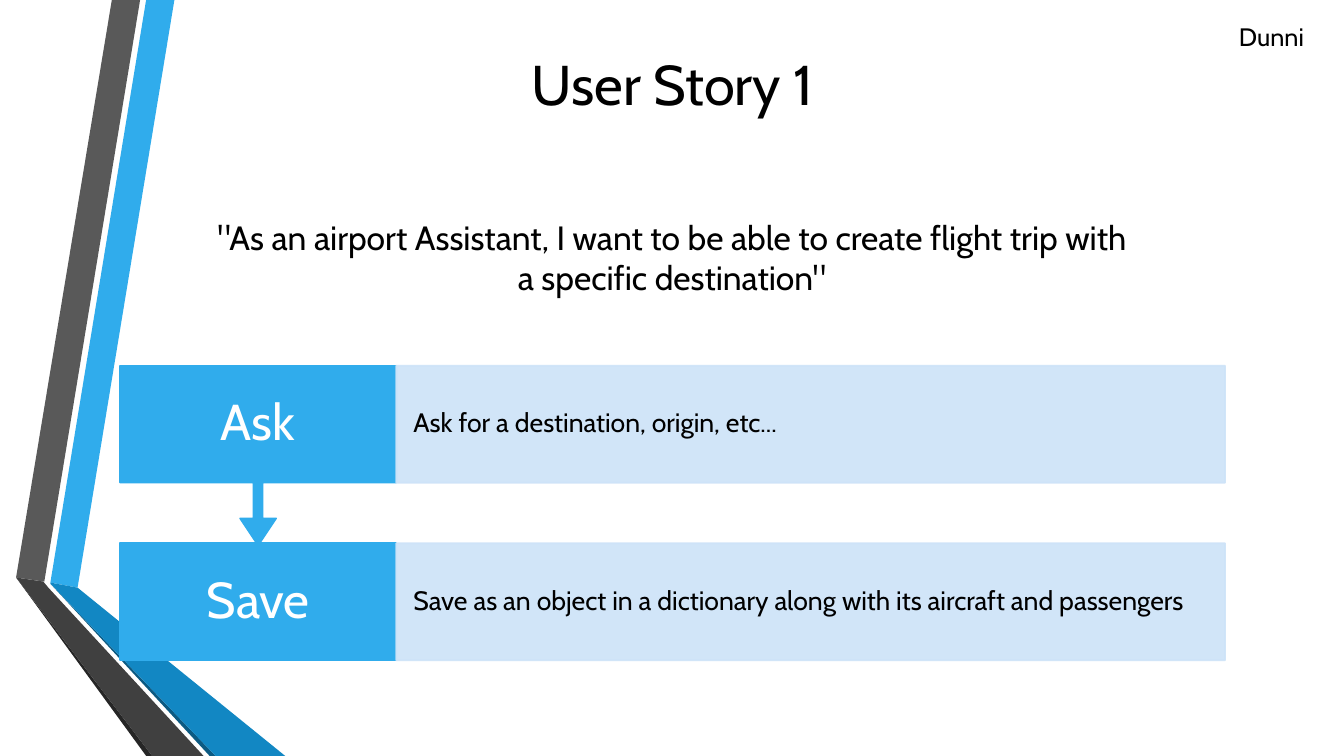
import pptx
import pptx.util
import pptx.dml.color
import pptx.enum.shapes
import pptx.enum.text
import pptx.oxml

Inches = pptx.util.Inches
SHAPE = pptx.enum.shapes.MSO_SHAPE
ALIGN = pptx.enum.text.PP_ALIGN
ANCHOR = pptx.enum.text.MSO_ANCHOR
BLUE, PALE, BLACK, WHITE = "30ACEC", "CDE3F8", "000000", "FFFFFF"


def paint(s, color, outlined=False, alpha=None):
    s.shadow.inherit = False
    s.fill.solid()
    s.line.fill.background()
    fills = [s.fill]
    if outlined:
        s.line.fill.solid()
        s.line.width = pptx.util.Pt(1.25)
        fills.append(s.line.fill)
    for fill in fills:
        fill.fore_color.rgb = pptx.dml.color.RGBColor.from_string(color)
    if alpha:
        for clr in s._element.spPr.xpath(".//a:srgbClr"):
            clr.append(pptx.oxml.parse_xml(
                '<a:alpha xmlns:a="http://schemas.openxmlformats.org/'
                f'drawingml/2006/main" val="{alpha * 1000}"/>'))


def write(s, text, size, color, align, anchor=ANCHOR.TOP, inset=(0.1, 0.05), spacing=None):
    tf = s.text_frame
    tf.word_wrap = True
    tf.vertical_anchor = anchor
    tf.margin_left = tf.margin_right = Inches(inset[0])
    tf.margin_top = tf.margin_bottom = Inches(inset[1])
    p = tf.paragraphs[0]
    p.text = text
    p.alignment = align
    p.line_spacing = spacing
    p.font.name = "Cabin"
    p.font.size = pptx.util.Pt(size)
    p.font.color.rgb = pptx.dml.color.RGBColor.from_string(color)


prs = pptx.Presentation()
prs.slide_width, prs.slide_height = Inches(13.33), Inches(7.5)
slide = prs.slides.add_slide(prs.slide_layouts[6])
shapes = slide.shapes

# Folded ribbons on the left edge
ribbons = [
    (BLUE, [(0.5, 5.78), (0.77, 5.83), (1.73, 0), (1.45, 0)]),
    ("595959", [(1.39, 0), (1.11, 0), (0.16, 5.73), (0.44, 5.77)]),
    ("262626", [(0.16, 5.73), (1.45, 7.5), (1.51, 7.5)]),
    ("0C5A82", [(0.5, 5.79), (2.08, 7.5), (2.14, 7.5)]),
    ("1287C3", [(0.5, 5.79), (2.14, 7.5), (2.83, 7.5), (0.77, 5.83), (0.5, 5.78)]),
    ("404040", [(2.02, 7.5), (0.48, 5.83), (0.43, 5.77), (0.16, 5.73), (1.51, 7.5)]),
]
for color, corners in ribbons:
    points = [(Inches(x), Inches(y)) for x, y in corners]
    builder = shapes.build_freeform(*points[0])
    builder.add_line_segments(points[1:], close=True)
    paint(builder.convert_to_shape(), color)

# Title, story and presenter
headings = [
    ("User Story 1", 40, ALIGN.CENTER, ANCHOR.MIDDLE, (1.19, 0.16, 10.96, 1.32)),
    ('"As an airport Assistant, I want to be able to create flight trip with '
     'a specific destination"', 24, ALIGN.CENTER, ANCHOR.TOP, (1.94, 2.1, 9.45, 0.91)),
    ("Dunni", 18, ALIGN.RIGHT, ANCHOR.TOP, (10.92, 0.16, 2.11, 0.4)),
]
for text, size, align, anchor, box in headings:
    s = shapes.add_textbox(*map(Inches, box))
    write(s, text, size, BLACK, align, anchor)

# Steps, drawn from the bottom up so that the arrow lies over the next step
left, step_w, detail_w, row_h = 1.19, 2.74, 8.22, 1.16
steps = [
    ("Save", "Save as an object in a dictionary along with its aircraft and passengers", 5.39, False),
    ("Ask", "Ask for a destination, origin, etc...", 3.63, True),
]
for step, detail, top, has_arrow in steps:
    box = [Inches(v) for v in (left, top, step_w, row_h)]
    if has_arrow:
        s = shapes.add_shape(SHAPE.UP_ARROW_CALLOUT, *box[:3], Inches(1.78))
        s.rotation = 180
        for i, value in enumerate((0.05, 0.1, 0.15, 0.65)):
            s.adjustments[i] = value
    else:
        s = shapes.add_shape(SHAPE.RECTANGLE, *box)
    paint(s, BLUE, outlined=True)
    write(shapes.add_textbox(*box), step, 36, WHITE, ALIGN.CENTER,
          ANCHOR.MIDDLE, (0.19, 0.28), 0.9)

    s = shapes.add_shape(SHAPE.RECTANGLE, Inches(left + step_w), Inches(top),
                         Inches(detail_w), Inches(row_h))
    paint(s, PALE, outlined=True, alpha=90)
    write(s, detail, 19, BLACK, ALIGN.LEFT, ANCHOR.MIDDLE, (0.17, 0.26), 0.9)

prs.save("out.pptx")
